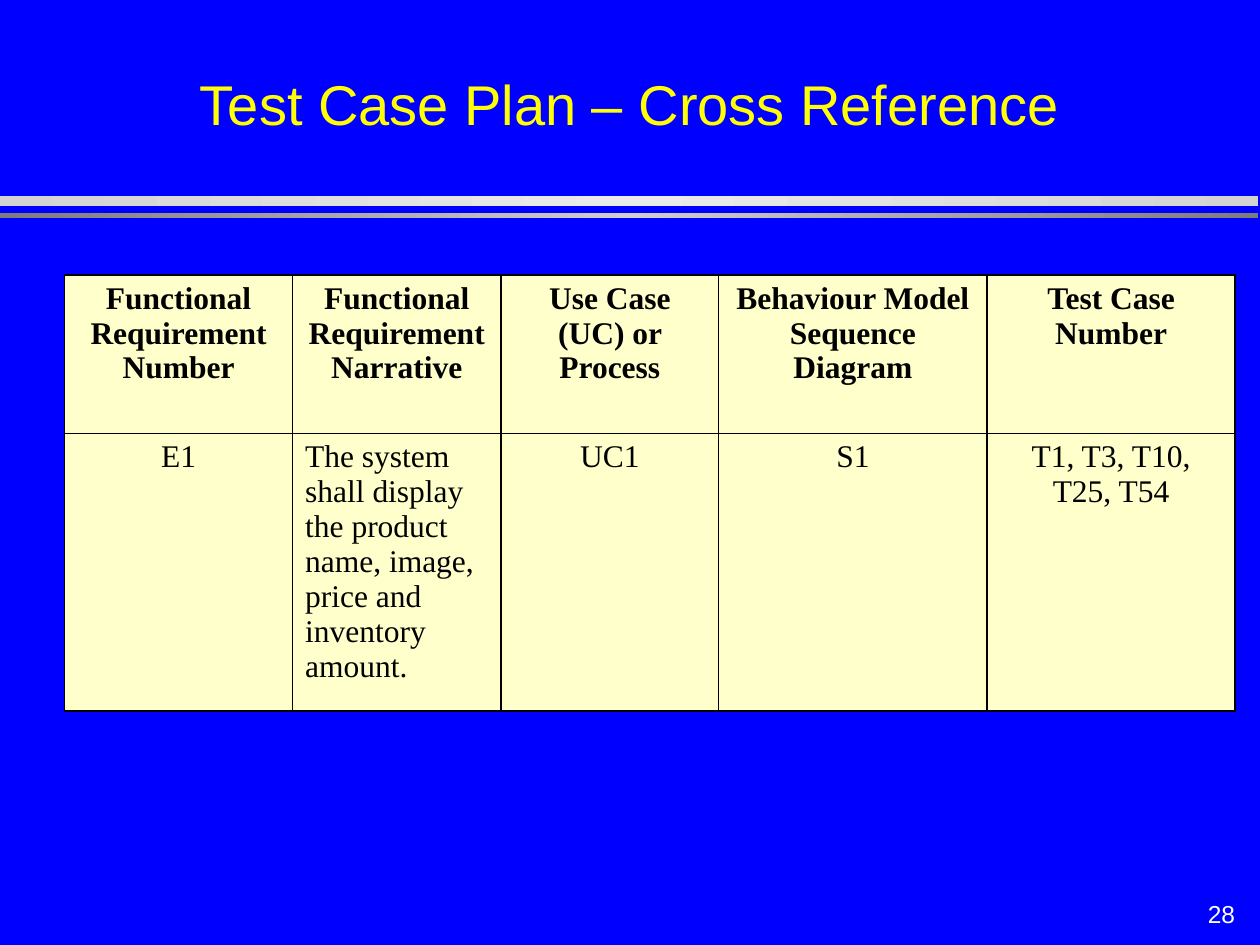
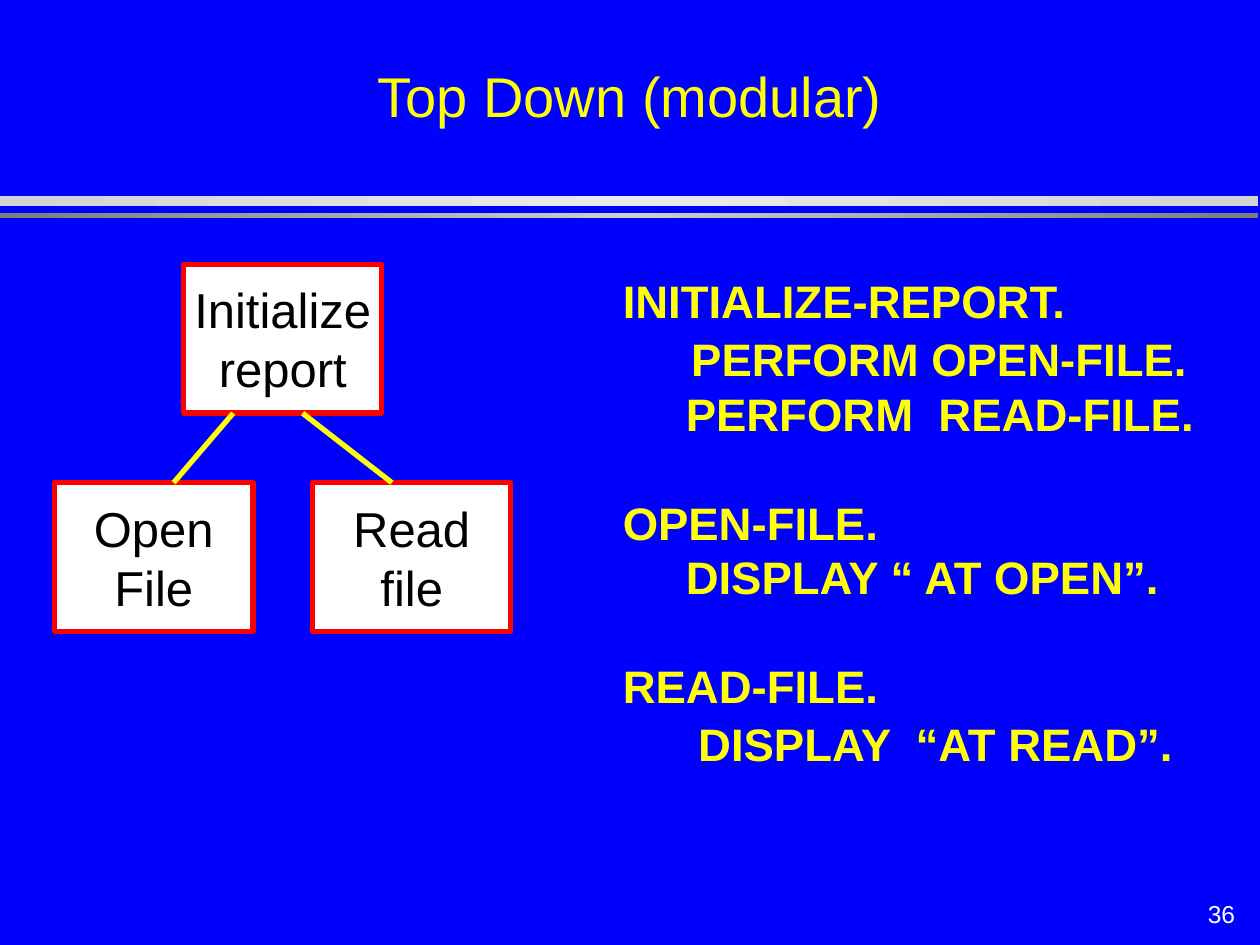
"""Build two slides on test case planning and top-down modular design."""
import copy

import lxml.etree
import pptx
import pptx.dml.color
import pptx.enum.shapes
import pptx.enum.text
import pptx.oxml.ns
import pptx.util

Cm = pptx.util.Cm
Pt = pptx.util.Pt
RGB = pptx.dml.color.RGBColor
Align = pptx.enum.text.PP_ALIGN
Anchor = pptx.enum.text.MSO_ANCHOR
Fit = pptx.enum.text.MSO_AUTO_SIZE
Kind = pptx.enum.shapes.MSO_SHAPE
qn = pptx.oxml.ns.qn

BLUE = RGB(0, 0, 255)
YELLOW = RGB(255, 255, 0)
WHITE = RGB(255, 255, 255)
BLACK = RGB(0, 0, 0)
RED = RGB(255, 0, 0)
CREAM = RGB(255, 255, 204)
SILVER = RGB(0xD3, 0xD3, 0xD3)
PALE = RGB(0xEB, 0xEB, 0xEB)
GREY = RGB(0x7C, 0x7C, 0x7C)
LIGHT = RGB(0xCE, 0xCE, 0xCE)

TITLE = {"name": "Arial", "size": Pt(32), "bold": False}
PAGE = {"name": "Arial", "size": Pt(14)}
HEAD = {"name": "Times New Roman", "size": Pt(18), "bold": True}
CELL = {**HEAD, "bold": False}
BOX = {"name": "Arial", "size": Pt(28)}
CODE = {"name": "Arial", "size": Pt(26), "bold": True}


def style(frame, font, color, align):
    """Format every paragraph of a text frame."""
    for par in frame.paragraphs:
        par.alignment = align
        for key, value in font.items():
            setattr(par.font, key, value)
        par.font.color.rgb = color


def place(shape, left, top, width, height):
    """Set a shape's place and size in centimetres."""
    shape.left, shape.top = Cm(left), Cm(top)
    shape.width, shape.height = Cm(width), Cm(height)


deck = pptx.Presentation()
deck.slide_width, deck.slide_height = Cm(25.4), Cm(19.05)
master = deck.slide_master
master.background.fill.solid()
master.background.fill.fore_color.rgb = BLUE

plan = deck.slides.add_slide(deck.slide_layouts[5])
design = deck.slides.add_slide(deck.slide_layouts[1])

for top, height, edge, middle in [(3.96, 0.2, SILVER, PALE), (4.29, 0.11, GREY, LIGHT)]:
    band = plan.shapes.add_shape(Kind.RECTANGLE, 0, Cm(top), Cm(25.37), Cm(height))
    band.shadow.inherit = False
    band.line.fill.background()
    band.fill.gradient()
    band.fill.gradient_angle = 0
    stops = next(band.element.iter(qn("a:gsLst")))
    stops.append(copy.deepcopy(stops[-1]))
    for stop, spot, color in zip(band.fill.gradient_stops, (0, 0.5, 1), (edge, middle, edge)):
        stop.position = spot
        stop.color.rgb = color
    master.shapes.element.append(band.element)

for slide, text, page, top, height in [
    (plan, "Test Case Plan – Cross Reference", "28", 0.71, 2.18),
    (design, "Top Down (modular)", "36", 0.64, 2.08),
]:
    title = slide.shapes.title
    place(title, 1.9, top, 21.6, height)
    title.text_frame.text = text
    title.text_frame.vertical_anchor = Anchor.BOTTOM
    title.text_frame.auto_size = Fit.NONE
    style(title.text_frame, TITLE, YELLOW, Align.CENTER)
    note = slide.shapes.add_textbox(Cm(24.05), Cm(18), Cm(1.1), Cm(0.85))
    note.text_frame.text = page
    note.text_frame.word_wrap = False
    note.text_frame.vertical_anchor = Anchor.MIDDLE
    style(note.text_frame, PAGE, WHITE, Align.RIGHT)

ROWS = [
    ["Functional Requirement Number", "Functional Requirement\nNarrative",
     "Use Case (UC) or Process", "Behaviour Model Sequence Diagram", "Test Case Number"],
    ["E1", "The system shall display the product name, image, price and inventory amount.",
     "UC1", "S1", "T1, T3, T10, T25, T54"],
]
table = plan.shapes.add_table(2, 5, Cm(1.3), Cm(5.54), Cm(23.6), Cm(8.79)).table
for column, width in zip(table.columns, (4.6, 4.2, 4.39, 5.41, 5)):
    column.width = Cm(width)
for row, height in zip(table.rows, (3.2, 5.59)):
    row.height = Cm(height)
for r, texts in enumerate(ROWS):
    for c, text in enumerate(texts):
        cell = table.cell(r, c)
        cell.text_frame.text = text
        align = Align.LEFT if (r, c) == (1, 1) else Align.CENTER
        style(cell.text_frame, CELL if r else HEAD, BLACK, align)
        props = cell._tc.get_or_add_tcPr()
        for side in ("a:lnL", "a:lnR", "a:lnT", "a:lnB"):
            edge = lxml.etree.SubElement(props, qn(side), w=str(Pt(1)))
            paint = lxml.etree.SubElement(edge, qn("a:solidFill"))
            lxml.etree.SubElement(paint, qn("a:srgbClr"), val=str(BLACK))
        cell.fill.solid()
        cell.fill.fore_color.rgb = CREAM

for text, left, top in [
    ("Initialize\nreport", 3.7, 5.33), ("Read\nfile", 6.3, 9.73), ("Open\nFile", 1.1, 9.73),
]:
    box = design.shapes.add_shape(Kind.RECTANGLE, Cm(left), Cm(top), Cm(4), Cm(3))
    box.shadow.inherit = False
    box.fill.solid()
    box.fill.fore_color.rgb = WHITE
    box.line.color.rgb = RED
    box.line.width = Pt(3)
    box.text_frame.text = text
    box.text_frame.word_wrap = False
    box.text_frame.vertical_anchor = Anchor.MIDDLE
    style(box.text_frame, BOX, BLACK, Align.CENTER)

for start, end in [(4.7, 3.5), (6.1, 7.9)]:
    link = design.shapes.add_connector(
        pptx.enum.shapes.MSO_CONNECTOR.STRAIGHT, Cm(start), Cm(8.33), Cm(end), Cm(9.73))
    link.line.color.rgb = YELLOW
    link.line.width = Pt(3)
    lxml.etree.SubElement(link.element.spPr, qn("a:effectLst"))

LINES = [
    ("INITIALIZE-REPORT.", 0, 0),
    ("PERFORM OPEN-FILE.", 1.38, 2),
    ("PERFORM  READ-FILE.", 1.27, 0),
    ("OPEN-FILE.", 0, 31),
    ("DISPLAY “ AT OPEN”.", 1.27, 0),
    ("READ-FILE.", 0, 31),
    ("DISPLAY  “AT READ”.", 1.52, 2),
]
body = design.placeholders[1]
place(body, 12.3, 5.38, 13.1, 11.46)
frame = body.text_frame
frame.text = "\n".join(text for text, indent, gap in LINES)
frame.auto_size = Fit.NONE
style(frame, CODE, YELLOW, Align.LEFT)
for par, (text, indent, gap) in zip(frame.paragraphs, LINES):
    par.space_before = Pt(gap)
    props = par._p.get_or_add_pPr()
    props.set("marL", str(Cm(indent)))
    props.set("indent", "0")
    lxml.etree.SubElement(props, qn("a:buNone"))
    props.append(props.find(qn("a:defRPr")))

deck.save("out.pptx")
